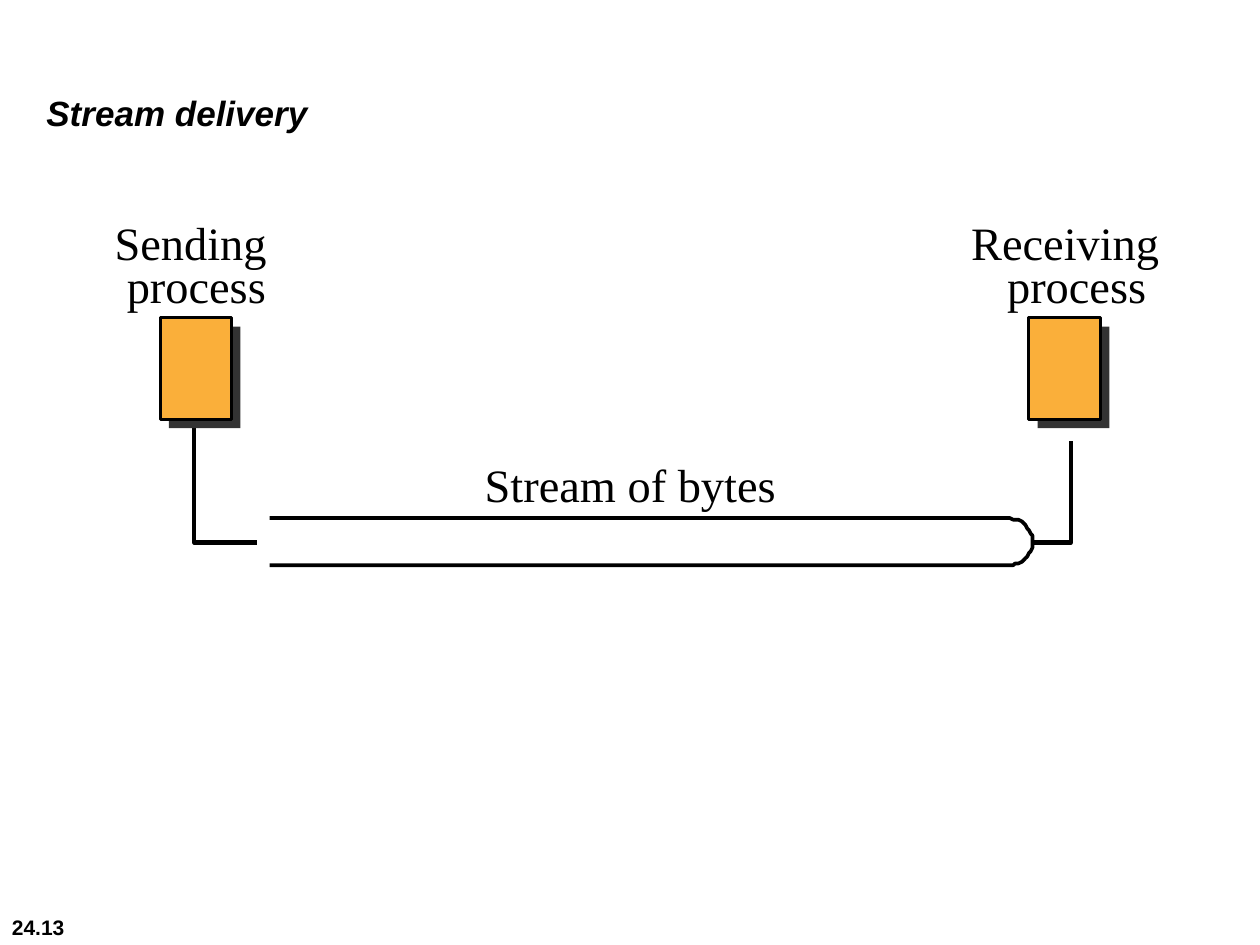
import math

from pptx import Presentation
from pptx.dml.color import RGBColor
from pptx.enum.shapes import MSO_SHAPE
from pptx.enum.text import MSO_ANCHOR, PP_ALIGN
from pptx.util import Pt

RECTANGLE = MSO_SHAPE.RECTANGLE
TOP = MSO_ANCHOR.TOP
LEFT = PP_ALIGN.LEFT

BLACK = RGBColor(0x00, 0x00, 0x00)
ORANGE = RGBColor(0xFA, 0xAF, 0x3A)
SHADE = RGBColor(0x33, 0x33, 0x33)

SANS = "Arial"
SERIF = "Times New Roman"
LABEL_SIZE = 26.5


def set_text(s, box, text, font, size, bold=False, italic=False, inset=0):
    """Place a text shape in box and return its formatted paragraph."""
    s.left, s.top, s.width, s.height = (Pt(v) for v in box)
    tf = s.text_frame
    tf.word_wrap = True
    tf.vertical_anchor = TOP
    tf.margin_left = tf.margin_right = tf.margin_bottom = 0
    tf.margin_top = Pt(inset)
    tf.text = text
    p = tf.paragraphs[0]
    p.alignment = LEFT
    p.space_before = Pt(0)
    f = p.runs[0].font
    f.name, f.size, f.bold, f.italic = font, Pt(size), bold, italic
    f.color.rgb = BLACK
    return p


def add_text(slide, box, *args, **kwargs):
    s = slide.shapes.add_textbox(*(Pt(v) for v in box))
    return set_text(s, box, *args, **kwargs)


def add_outline(slide, points, width):
    """Draw an open, unfilled line through points."""
    builder = slide.shapes.build_freeform(*points[0], scale=Pt(1))
    builder.add_line_segments(points[1:], close=False)
    s = builder.convert_to_shape()
    s.shadow.inherit = False
    s.fill.background()
    s.line.color.rgb = BLACK
    s.line.width = Pt(width)


def add_process(slide, box, text, text_box, hanging):
    """Draw a process block with its offset shade and its two-line label."""
    x, y, w, h = box
    for offset, color in ((5, SHADE), (0, ORANGE)):
        s = slide.shapes.add_shape(
            RECTANGLE, Pt(x + offset), Pt(y + offset), Pt(w), Pt(h))
        s.shadow.inherit = False
        s.fill.solid()
        s.fill.fore_color.rgb = color
        s.line.fill.background()
    s.line.color.rgb = BLACK
    s.line.width = Pt(1.65)

    p = add_text(slide, text_box, text, SERIF, LABEL_SIZE, inset=11.7)
    p.line_spacing = 0.77
    # The second line hangs further in than the first
    pPr = p._p.get_or_add_pPr()
    pPr.set("marL", str(Pt(hanging + 1)))
    pPr.set("indent", str(Pt(-hanging)))


def add_pipe(slide, box):
    """Draw a pipe that is open on the left and round on the right."""
    x, y, w, h = box
    radius = h / 2
    cx, cy = x + w - radius, y + radius
    steps = 24
    angles = [math.pi * (i / steps - 0.5) for i in range(steps + 1)]
    bend = [(cx + radius * math.cos(a), cy + radius * math.sin(a))
            for a in angles]
    add_outline(slide, [(x, y), *bend, (x, y + h)], 2.07)


def add_stream(slide, box):
    """Draw the labelled pipe and the lines joining it to both processes."""
    x, y, w, h = box
    middle = y + h / 2
    add_pipe(slide, box)
    add_outline(slide, [(111, 243.5), (111, middle), (147, middle)], 2.48)
    add_outline(slide, [(x + w, middle), (611.5, middle), (611.5, 252.5)], 2.48)
    add_text(slide, (277, y - 37, 180, 34), "Stream of bytes",
             SERIF, LABEL_SIZE, inset=1.5)


def main():
    prs = Presentation()
    prs.slide_width, prs.slide_height = Pt(720), Pt(540)
    slide = prs.slides.add_slide(prs.slide_layouts[5])

    # Title
    set_text(slide.shapes.title, (26.5, 50.5, 155, 26), "Stream delivery",
             SANS, 20, bold=True, italic=True, inset=1.5)

    # Stream and the processes at its ends
    add_stream(slide, (154.2, 296.4, 436, 26.4))
    add_process(slide, (91.5, 181.7, 41, 58), "Sending process",
                (64.5, 117.4, 116, 57), 7)
    add_process(slide, (588, 181.7, 41, 58), "Receiving process",
                (554, 117.4, 110, 57), 20.5)

    # Page number
    add_text(slide, (6.8, 522.5, 40, 15), "24.13", SANS, 12, bold=True)

    prs.save("out.pptx")


if __name__ == "__main__":
    main()
